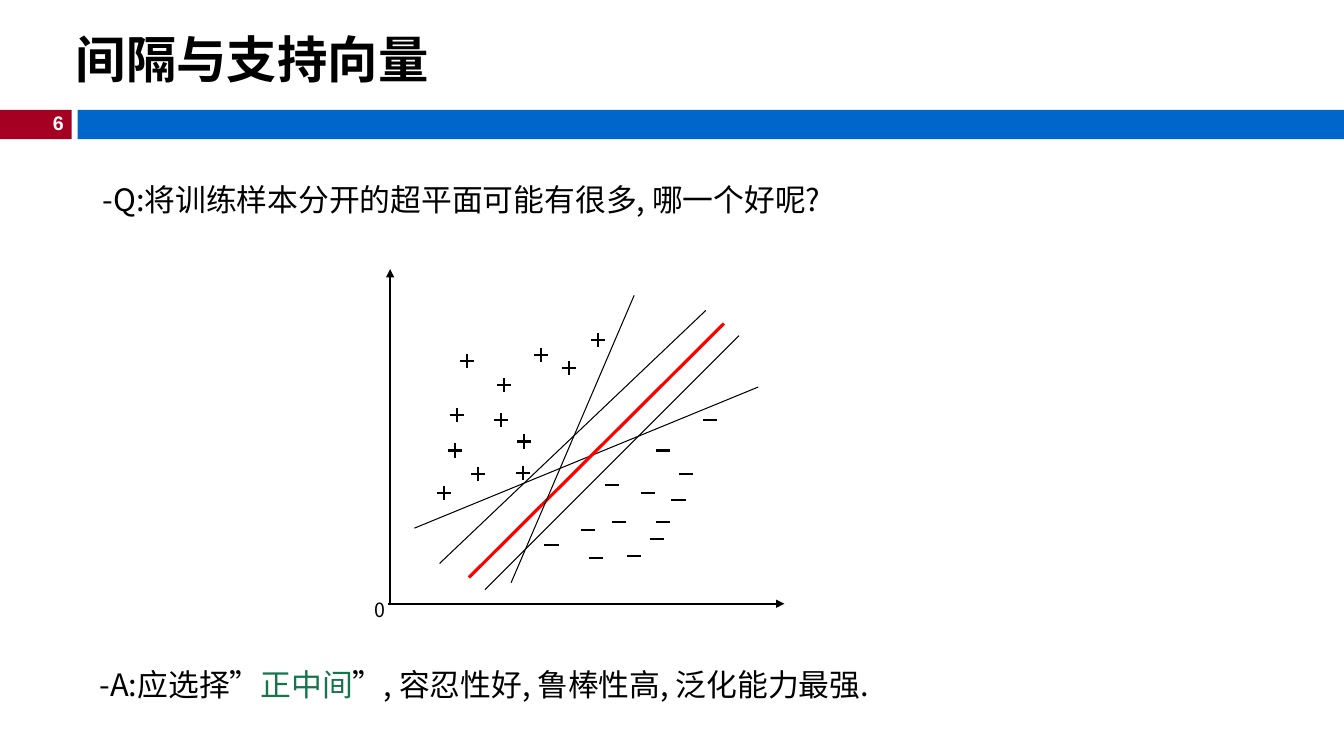
from lxml.etree import SubElement
from pptx import Presentation
from pptx.dml.color import RGBColor
from pptx.enum.shapes import MSO_CONNECTOR, MSO_SHAPE
from pptx.enum.text import MSO_ANCHOR, MSO_AUTO_SIZE, PP_ALIGN
from pptx.oxml.ns import qn
from pptx.util import Inches, Pt

CJK_FONT = "Noto Sans CJK SC"


def write(box, spans, size, font=CJK_FONT, bold=False, align=PP_ALIGN.LEFT):
    """Fill a box with one paragraph of (text, colour) spans."""
    para = box.text_frame.paragraphs[0]
    para.alignment = align
    for text, color in spans:
        span = para.add_run()
        span.text = text
        span.font.size = Pt(size)
        span.font.bold = bold
        span.font.name = font
        span.font.color.rgb = RGBColor.from_string(color)
        SubElement(span.font._element, qn("a:ea"), typeface=CJK_FONT)
    return para


def draw_line(shapes, x1, y1, x2, y2, width=1.5, color="000000", arrow=False):
    line = shapes.add_connector(MSO_CONNECTOR.STRAIGHT, Inches(x1), Inches(y1),
                                Inches(x2), Inches(y2))
    line.line.width = Pt(width)
    line.line.color.rgb = RGBColor.from_string(color)
    if arrow:
        SubElement(line.line._get_or_add_ln(), qn("a:tailEnd"), type="triangle")
    SubElement(line._element.spPr, qn("a:effectLst"))


deck = Presentation()
deck.slide_width, deck.slide_height = Inches(13.33), Inches(7.5)
page = deck.slides.add_slide(deck.slide_layouts[5])

# Header bars
for left, width, color in [(0, 0.71, "A50021"), (0.77, 12.56, "0066CC")]:
    bar = page.shapes.add_shape(MSO_SHAPE.RECTANGLE, Inches(left), Inches(1.09),
                                Inches(width), Inches(0.29))
    bar.shadow.inherit = False
    bar.fill.solid()
    bar.fill.fore_color.rgb = RGBColor.from_string(color)
    bar.line.fill.background()

# Title
title = page.shapes.title
title.left, title.top = Inches(0.65), Inches(0.11)
title.width, title.height = Inches(9.54), Inches(0.94)
title.text_frame.vertical_anchor = MSO_ANCHOR.MIDDLE
title.text_frame.auto_size = MSO_AUTO_SIZE.NONE
write(title, [("间隔与支持向量", "000000")], 36, "Arial Narrow", bold=True)

# Page number and origin label
number = page.shapes.add_textbox(Inches(0.29), Inches(1.05), Inches(0.44), Inches(0.34))
write(number, [("6", "FFFFFF")], 14, "Arial", bold=True, align=PP_ALIGN.RIGHT)
origin = page.shapes.add_textbox(Inches(3.62), Inches(5.88), Inches(0.32), Inches(0.34))
write(origin, [("0", "000000")], 14)
for label in (number, origin):
    label.text_frame.word_wrap = False
    label.text_frame.auto_size = MSO_AUTO_SIZE.SHAPE_TO_FIT_TEXT

# Question and answer
question = [("-Q:将训练样本分开的超平面可能有很多, 哪一个好呢?", "000000")]
answer = [("-A:应选择”", "000000"), ("正中间", "16754D"),
          ("”, 容忍性好, 鲁棒性高, 泛化能力最强.", "000000")]
for left, top, height, spans in [(0.92, 1.79, 0.49, question), (0.89, 6.6, 0.57, answer)]:
    box = page.shapes.add_textbox(Inches(left), Inches(top), Inches(9.42), Inches(height))
    box.text_frame.word_wrap = True
    write(box, spans, 22).line_spacing = 0.9

# Axes
draw_line(page.shapes, 3.87, 5.99, 3.87, 2.67, arrow=True)
draw_line(page.shapes, 3.85, 5.99, 7.78, 5.99, arrow=True)

# Samples, placed by their centres
ARM = 0.07
positives = [(5.37, 3.52), (5.2, 4.38), (4.97, 4.17), (4.51, 4.47), (4.74, 4.7), (5.19, 4.69),
             (4.63, 3.58), (5.93, 3.37), (5.64, 3.65), (4.4, 4.89), (5, 3.82), (4.53, 4.12)]
negatives = [(6.73, 4.96), (6.07, 4.81), (5.91, 5.54), (5.47, 5.41), (6.52, 5.35),
             (6.58, 5.18), (5.83, 5.26), (6.8, 4.7), (6.14, 5.18), (6.29, 5.52),
             (6.43, 4.89), (6.58, 4.47), (7.04, 4.17)]
for x, y in positives:
    plus = page.shapes.add_group_shape()
    draw_line(plus.shapes, x - ARM, y, x + ARM, y)
    draw_line(plus.shapes, x, y - ARM, x, y + ARM)
for x, y in negatives:
    draw_line(page.shapes, x - ARM, y, x + ARM, y)

# Candidate hyperplanes, with the middle one in red
draw_line(page.shapes, 7.52, 3.84, 4.11, 5.24, 0.75)
draw_line(page.shapes, 4.65, 5.73, 7.18, 3.21, 2.25, "FF0000")
for ends in [(6.29, 2.93, 5.07, 5.78), (7.33, 3.33, 4.81, 5.85), (7, 3.08, 4.36, 5.59)]:
    draw_line(page.shapes, *ends, 0.75)

deck.save("out.pptx")
